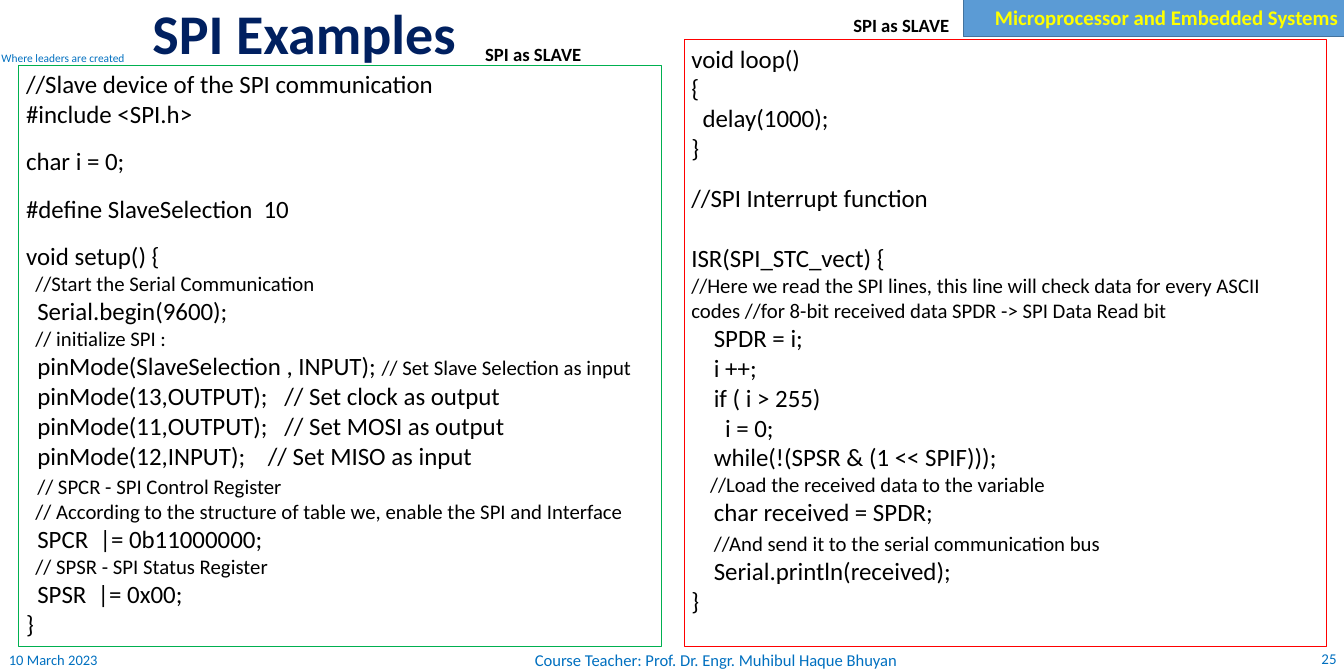
from pptx import Presentation
from pptx import util as u
from pptx.dml import color
from pptx.enum import shapes, text

PX = 9144  # 100 px to the inch
LEFT, CENTER, RIGHT = text.PP_ALIGN.LEFT, text.PP_ALIGN.CENTER, text.PP_ALIGN.RIGHT
TOP, MIDDLE = text.MSO_ANCHOR.TOP, text.MSO_ANCHOR.MIDDLE
BLUE, BLACK = "0070C0", "000000"
CODE, NOTE = 24, 20  # point sizes of statements and of remarks
SPACE = 0.226  # width of one space, in ems

# Each line: indent in spaces, gap above in points, then (text, size) runs.
SLAVE_SETUP = [
    (0, 0, ("//Slave device of the SPI communication", CODE)),
    (0, 0, ("#include <SPI.h>", CODE)),
    (0, 17, ("char i = 0;", CODE)),
    (0, 17, ("#define SlaveSelection  10", CODE)),
    (0, 17, ("void setup() {", CODE)),
    (2, 0, ("//Start the Serial Communication", NOTE)),
    (2, 0, ("Serial.begin(9600);", CODE)),
    (2, 0, ("// initialize SPI :", NOTE)),
    (2, 0, ("pinMode(SlaveSelection , INPUT); ", CODE),
     ("// Set Slave Selection as input", NOTE)),
    (2, 0, ("pinMode(13,OUTPUT);   // Set clock as output", CODE)),
    (2, 0, ("pinMode(11,OUTPUT);   // Set MOSI as output", CODE)),
    (2, 0, ("pinMode(12,INPUT);    // Set MISO as input", CODE)),
    (2.4, 4, ("// SPCR - SPI Control Register", NOTE)),
    (2, 0, ("// According to the structure of table we, enable the SPI and Interface", NOTE)),
    (2, 0, ("SPCR  |= 0b11000000;", CODE)),
    (2, 0, ("// SPSR - SPI Status Register", NOTE)),
    (2, 0, ("SPSR  |= 0x00;", CODE)),
    (0, 0, ("}", CODE)),
]
SLAVE_LOOP = [
    (0, 0, ("void loop()", CODE)),
    (0, 0, ("{", CODE)),
    (2, 0, ("delay(1000);", CODE)),
    (0, 0, ("}", CODE)),
    (0, 19.5, ("//SPI Interrupt function", CODE)),
    (0, 29, ("ISR(SPI_STC_vect) {", CODE)),
    (0, 0, ("//Here we read the SPI lines, this line will check data for every ASCII codes "
            "//for 8-bit received data SPDR -> SPI Data Read bit", NOTE)),
    (4, 0, ("SPDR = i;", CODE)),
    (4, 0, ("i ++;", CODE)),
    (4, 0, ("if ( i > 255)", CODE)),
    (6, 0, ("i = 0;", CODE)),
    (4, 0, ("while(!(SPSR & (1 << SPIF)));", CODE)),
    (4, 0, ("//Load the received data to the variable", NOTE)),
    (4, 0, ("char received = SPDR;", CODE)),
    (4.8, 4, ("//And send it to the serial communication bus", NOTE)),
    (4, 0, ("Serial.println(received);", CODE)),
    (0, 0, ("}", CODE)),
]


def rgb(value):
    return color.RGBColor.from_string(value)


def set_all(target, values):
    for name, value in values.items():
        setattr(target, name, value)


def place(shape, box):
    set_all(shape, dict(zip(("left", "top", "width", "height"), (n * PX for n in box))))


def set_font(run, size, hue, bold=False):
    set_all(run.font, {"name": "Calibri", "size": u.Pt(size), "bold": bold})
    run.font.color.rgb = rgb(hue)


def write(shape, words, size, hue, bold=False, align=LEFT, anchor=MIDDLE, **frame):
    """Put one formatted line of text into a shape."""
    set_all(shape.text_frame, {"word_wrap": True, "auto_size": text.MSO_AUTO_SIZE.NONE,
                               "vertical_anchor": anchor, **frame})
    line = shape.text_frame.paragraphs[0]
    line.alignment = align
    run = line.add_run()
    run.text = words
    set_font(run, size, hue, bold)


def label(slide, box, *args, **kwargs):
    shape = slide.shapes.add_textbox(*(n * PX for n in box))
    write(shape, *args, **kwargs)


def rectangle(slide, box, edge, weight, fill=None):
    shape = slide.shapes.add_shape(shapes.MSO_SHAPE.RECTANGLE, *(n * PX for n in box))
    shape.shadow.inherit = False
    if fill:
        shape.fill.solid()
        shape.fill.fore_color.rgb = rgb(fill)
    else:
        shape.fill.background()
    shape.line.color.rgb = rgb(edge)
    shape.line.width = u.Pt(weight)
    return shape


def header(slide, box):
    left, top, width, _ = box
    banner = rectangle(slide, (left + width - 510, top - 2, 512, 51), "43739E", 1, "5B9BD5")
    write(banner, "Microprocessor and Embedded Systems", 20, "FFFF00", True, RIGHT)
    label(slide, (left + 2, top + 68, 167, 19), "Where leaders are created", 11, BLUE,
          anchor=TOP, word_wrap=False, margin_left=0, margin_top=0,
          margin_right=0, margin_bottom=0)
    title = slide.shapes.title
    place(title, (left + 194, top + 13, 1089, 71))
    write(title, "SPI Examples", 54, "002060", True)
    title.text_frame.paragraphs[0].line_spacing = 0.9


def code_panel(slide, box, edge, lines, caption_offset):
    """Framed listing with its caption just above the frame."""
    left, top, _, _ = box
    frame = rectangle(slide, box, edge, 0.75).text_frame
    set_all(frame, {"word_wrap": True, "vertical_anchor": TOP})
    for number, (indent, gap, *runs) in enumerate(lines):
        line = frame.add_paragraph() if number else frame.paragraphs[0]
        set_all(line, {"alignment": LEFT, "space_before": u.Pt(gap)})
        margin = u.Pt(indent * SPACE * runs[0][1])
        line._p.get_or_add_pPr().set("marL", str(margin))
        for words, size in runs:
            run = line.add_run()
            run.text = words
            set_font(run, size, BLACK)
    dx, dy = caption_offset
    label(slide, (left + dx, top - dy, 150, 40), "SPI as SLAVE", 18, BLACK, True,
          anchor=TOP, word_wrap=False)


def footer(slide, box):
    left, top, width, height = box
    label(slide, (left + 2, top, 305, height), "10 March 2023", 14, BLUE)
    label(slide, (left + 596, top, 726, height + 2),
          "Course Teacher: Prof. Dr. Engr. Muhibul Haque Bhuyan", 16, BLUE, align=CENTER)
    label(slide, (left + width - 144, top, 144, height - 2), "25", 14.4, BLUE, align=RIGHT)


def main():
    deck = Presentation()
    set_all(deck, {"slide_width": 1800 * PX, "slide_height": 900 * PX})
    slide = deck.slides.add_slide(deck.slide_layouts[5])
    header(slide, (0, 0, 1800, 87))
    code_panel(slide, (25, 87, 861, 779), "00B050", SLAVE_SETUP, (615, 34))
    code_panel(slide, (916, 53, 861, 813), "FF0000", SLAVE_LOOP, (217, 40))
    footer(slide, (0, 866, 1800, 34))
    deck.save("out.pptx")


if __name__ == "__main__":
    main()
